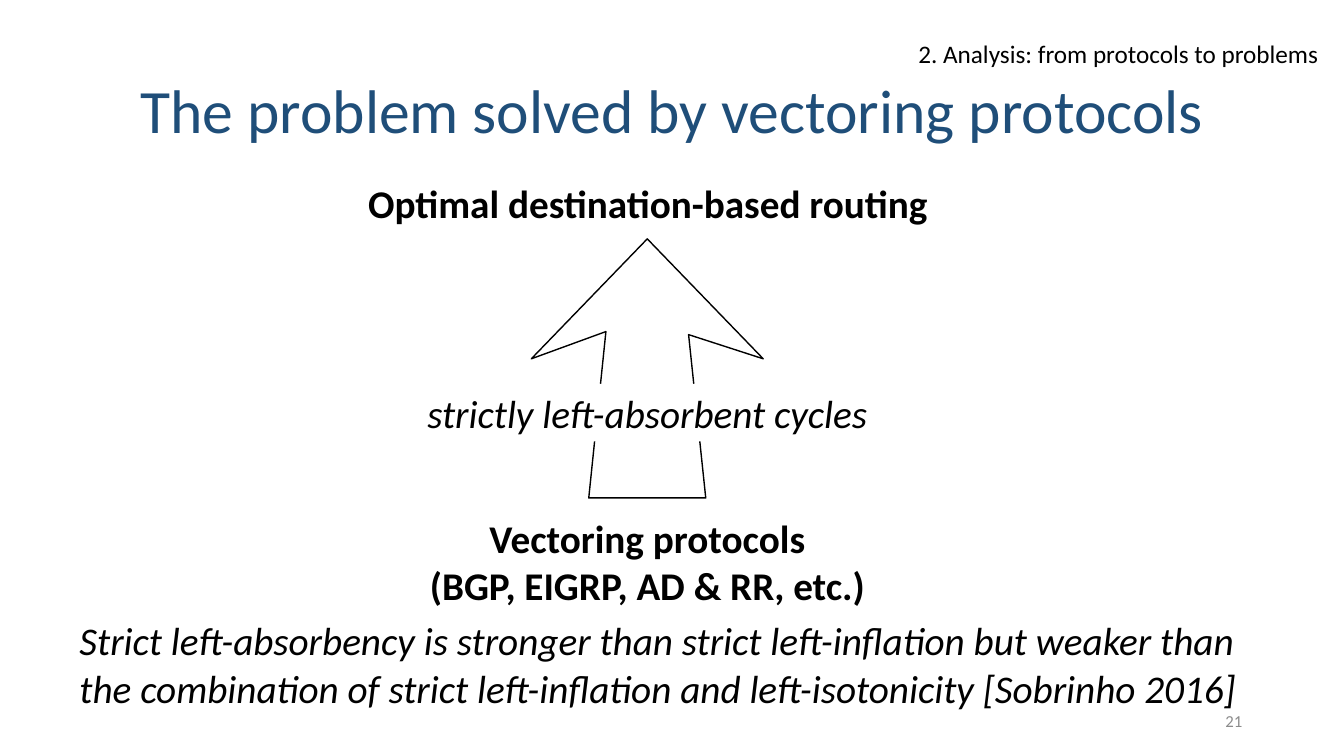
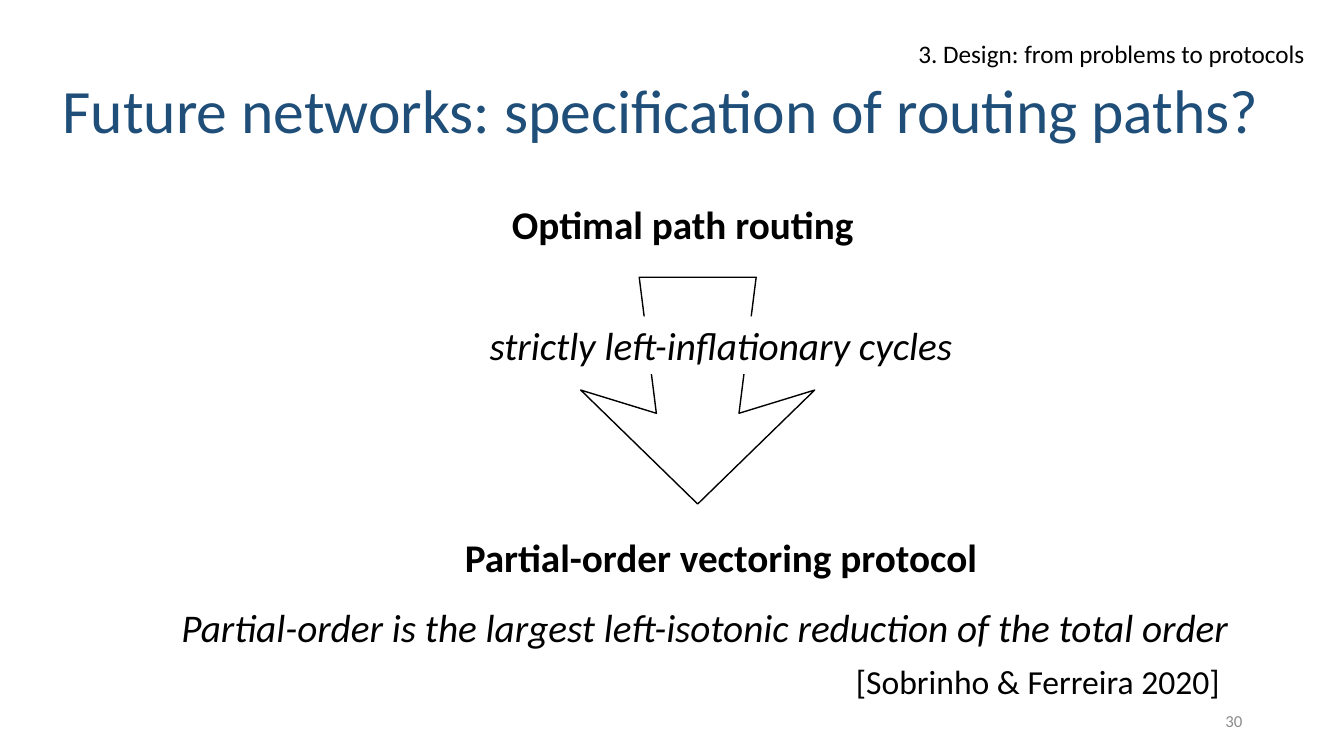
from pptx import Presentation
from pptx.dml.color import RGBColor
from pptx.enum.text import MSO_ANCHOR, MSO_AUTO_SIZE, PP_ALIGN
from pptx.util import Pt

PX = 9144  # EMU per px, 100 px to the inch
FONT = "Calibri"
BLACK = RGBColor(0x00, 0x00, 0x00)
WHITE = RGBColor(0xFF, 0xFF, 0xFF)
NAVY = RGBColor(0x1F, 0x4E, 0x79)
GRAY = RGBColor(0x8C, 0x8C, 0x8C)
LEFT, MID, RIGHT = PP_ALIGN.LEFT, PP_ALIGN.CENTER, PP_ALIGN.RIGHT
TOP, CENTER = MSO_ANCHOR.TOP, MSO_ANCHOR.MIDDLE
NO_FIT = MSO_AUTO_SIZE.NONE
TITLE_ONLY = 5


def style(frame, text, size, color=BLACK, align=LEFT, anchor=TOP,
          bold=False, italic=False):
    """Fill a text frame and format all its runs."""
    frame.text = text
    frame.word_wrap = True
    frame.auto_size = NO_FIT
    frame.vertical_anchor = anchor
    for para in frame.paragraphs:
        para.alignment = align
        for run in para.runs:
            font = run.font
            font.name, font.size = FONT, Pt(size)
            font.bold, font.italic = bold, italic
            font.color.rgb = color


def add_text(slide, box, text, size=28, fill=None, **look):
    shape = slide.shapes.add_textbox(*(v * PX for v in box))
    if fill is not None:
        shape.fill.solid()
        shape.fill.fore_color.rgb = fill
    style(shape.text_frame, text, size, **look)


def add_arrow(slide, box, head, notch, up):
    """Block arrow with swept wings; head and notch are measured from the tip."""
    x, y, w, h = box
    mid = x + w / 2
    tip, sign = (y, 1) if up else (y + h, -1)
    near, far = notch
    outline = [(0, 0), (-w / 2, head), (-41, near), (-58, h),
               (58, h), (41, far), (w / 2, head)]
    points = [(mid + dx, tip + sign * dy) for dx, dy in outline]
    pen = slide.shapes.build_freeform(*points[0], scale=PX)
    pen.add_line_segments(points[1:], close=True)
    shape = pen.convert_to_shape()
    shape.shadow.inherit = False
    shape.fill.solid()
    shape.fill.fore_color.rgb = WHITE
    shape.line.color.rgb = BLACK
    shape.line.width = Pt(1)


def add_base(deck, title, box, section):
    """New slide with its title and section heading."""
    slide = deck.slides.add_slide(deck.slide_layouts[TITLE_ONLY])
    head = slide.shapes.title
    head.left, head.top, head.width, head.height = (v * PX for v in box)
    style(head.text_frame, title, 44, NAVY, MID, CENTER)
    head.text_frame.paragraphs[0].line_spacing = 0.9
    add_text(slide, (901, 33, 430, 40), section, 18)
    return slide


def add_page(slide, number):
    add_text(slide, (942, 695, 300, 40), number, 12,
             color=GRAY, align=RIGHT, anchor=CENTER)


def add_solved(deck):
    slide = add_base(deck, "The problem solved by vectoring protocols",
                     (92, 40, 1150, 145), "2. Analysis: from protocols to problems")
    # Arrow from protocols up to the problem
    add_arrow(slide, (527, 237, 230, 257), 119, (92, 95), up=True)
    add_text(slide, (166, 173, 953, 57), "Optimal destination-based routing",
             align=MID, bold=True)
    add_text(slide, (402, 381, 480, 57), "strictly left-absorbent cycles",
             fill=WHITE, align=MID, italic=True)
    add_text(slide, (402, 505, 480, 104),
             "Vectoring protocols\n(BGP, EIGRP, AD & RR, etc.)",
             align=MID, bold=True)
    # Closing remark
    add_text(slide, (69, 607, 1217, 104),
             "Strict left-absorbency is stronger than strict left-inflation "
             "but weaker than the combination of strict left-inflation and "
             "left-isotonicity [Sobrinho 2016]", italic=True)
    add_page(slide, "21")


def add_future(deck):
    slide = add_base(deck, "Future networks: specification of routing paths?",
                     (22, 40, 1268, 145), "3. Design: from problems to protocols")
    # Arrow from the problem down to the protocol
    add_text(slide, (498, 194, 380, 57), "Optimal path routing", bold=True)
    add_arrow(slide, (576, 275, 232, 225), 113, (90, 90), up=False)
    add_text(slide, (465, 314, 500, 57), "strictly left-inflationary cycles",
             fill=WHITE, align=MID, italic=True)
    add_text(slide, (410, 524, 610, 57), "Partial-order vectoring protocol",
             align=MID, bold=True)
    # Closing remark and citation
    add_text(slide, (170, 594, 1106, 57),
             "Partial-order is the largest left-isotonic reduction "
             "of the total order", italic=True)
    add_text(slide, (839, 651, 412, 50), "[Sobrinho & Ferreira 2020]", 24)
    add_page(slide, "30")


def main():
    deck = Presentation()
    deck.slide_width, deck.slide_height = 1333 * PX, 750 * PX
    add_solved(deck)
    add_future(deck)
    deck.save("out.pptx")


if __name__ == "__main__":
    main()
